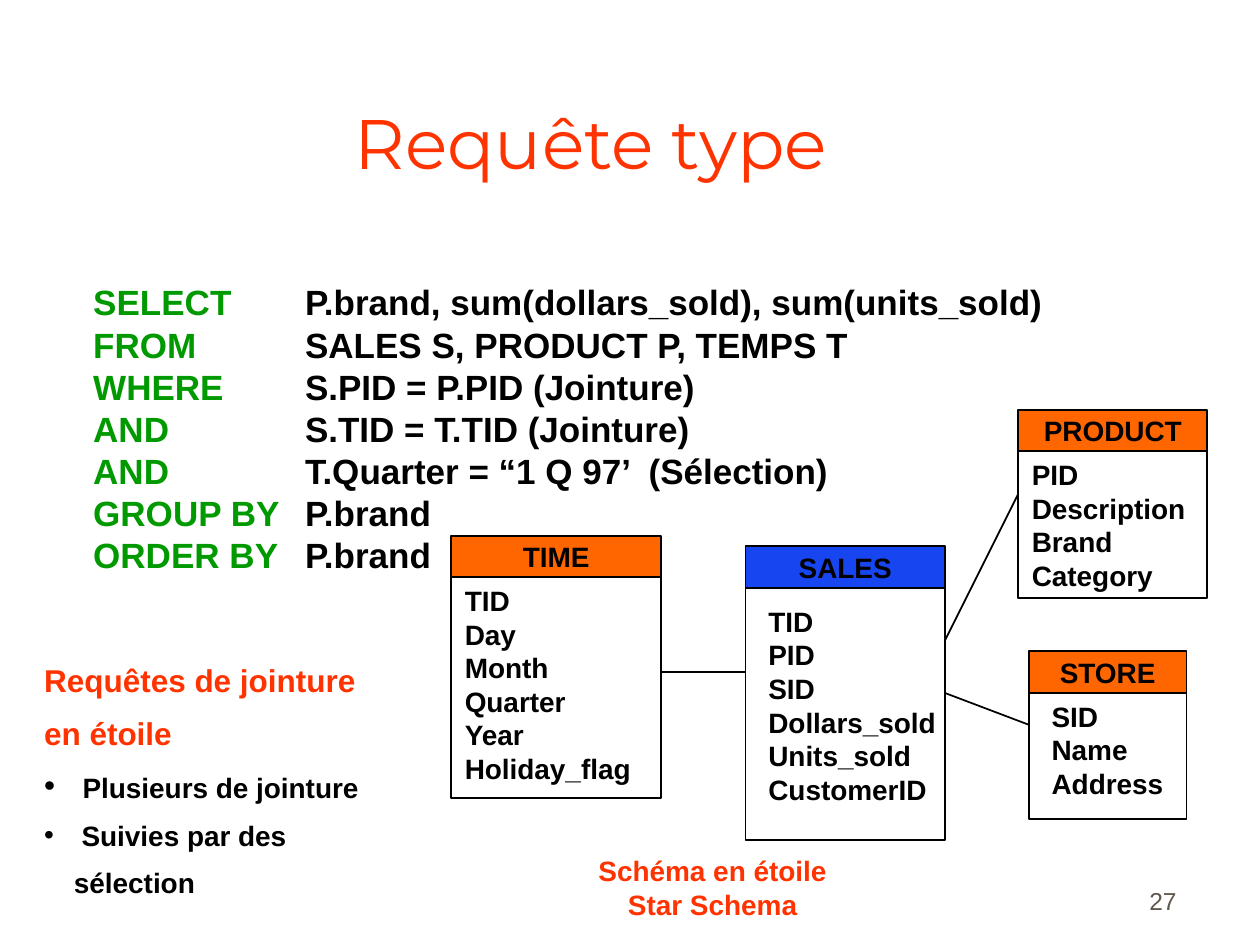
from lxml import etree
from pptx import Presentation
from pptx.dml.color import RGBColor
from pptx.enum.shapes import MSO_CONNECTOR, MSO_SHAPE
from pptx.enum.text import MSO_ANCHOR, PP_ALIGN
from pptx.oxml.ns import qn
from pptx.util import Cm, Pt

BLACK, RED, GREEN, ORANGE, BLUE, GREY = (
    "000000", "FF3300", "009900", "FF6600", "1745EF", "5E574E")
HEADER_H = 0.84

QUERY = [
    ("SELECT", "P.brand, sum(dollars_sold), sum(units_sold)"),
    ("FROM", "SALES S, PRODUCT P, TEMPS T"),
    ("WHERE", "S.PID = P.PID (Jointure)"),
    ("AND", "S.TID = T.TID (Jointure)"),
    ("AND", "T.Quarter = “1 Q 97’  (Sélection)"),
    ("GROUP BY", "P.brand"),
    ("ORDER BY", "P.brand"),
]
# name, header colour, fields, box (left, top, width, height), text offset
ENTITIES = [
    ("PRODUCT", ORANGE, ["PID", "Description", "Brand", "Category"],
     (20.53, 8.26, 3.81, 3.8), (0.02, 0)),
    ("TIME", ORANGE, ["TID", "Day", "Month", "Quarter", "Year", "Holiday_flag"],
     (9.1, 10.8, 4.23, 5.29), (0.02, 0)),
    ("SALES", BLUE,
     ["TID", "PID", "SID", "Dollars_sold", "Units_sold", "CustomerID"],
     (15.03, 11.01, 4.02, 5.92), (0.21, 0.21)),
    ("STORE", ORANGE, ["SID", "Name", "Address"],
     (20.74, 13.13, 3.18, 3.38), (0.21, 0)),
]
LINKS = [
    (13.33, 13.55, 15.03, 13.55),
    (20.53, 9.95, 19.05, 12.91),
    (20.74, 14.61, 19.05, 13.97),
]


def color(hex_text):
    return RGBColor.from_string(hex_text)


def set_font(font, hex_text=BLACK, **values):
    values = {"name": "Arial", "size": Pt(16), "bold": True} | values
    for key, value in values.items():
        setattr(font, key, value)
    font.color.rgb = color(hex_text)


def add_run(p, text, hex_text=BLACK, **values):
    r = p.add_run()
    r.text = text
    set_font(r.font, hex_text, **values)


def add_text(s, box, lines=(), hex_text=BLACK, align=PP_ALIGN.LEFT,
             wrap=True, anchor=MSO_ANCHOR.TOP, **values):
    tf = s.shapes.add_textbox(*map(Cm, box)).text_frame
    tf.word_wrap = wrap
    tf.vertical_anchor = anchor
    for i, line in enumerate(lines):
        p = tf.add_paragraph() if i else tf.paragraphs[0]
        p.alignment = align
        add_run(p, line, hex_text, **values)
    return tf


def add_rect(s, box, fill=None):
    sp = s.shapes.add_shape(MSO_SHAPE.RECTANGLE, *map(Cm, box))
    sp.shadow.inherit = False
    if fill:
        sp.fill.solid()
        sp.fill.fore_color.rgb = color(fill)
    else:
        sp.fill.background()
    sp.line.color.rgb = color(BLACK)
    sp.line.width = Pt(1)
    return sp


def add_title(s, box, text):
    sp = s.shapes.title
    sp.left, sp.top, sp.width, sp.height = map(Cm, box)
    tf = sp.text_frame
    tf.vertical_anchor = MSO_ANCHOR.BOTTOM
    p = tf.paragraphs[0]
    p.alignment = PP_ALIGN.CENTER
    add_run(p, text, RED, name="Montserrat", size=Pt(40), bold=False)


def add_query(s, box):
    tf = add_text(s, box, wrap=False)
    for i, (keyword, rest) in enumerate(QUERY):
        p = tf.add_paragraph() if i else tf.paragraphs[0]
        tabs = etree.SubElement(p._p.get_or_add_pPr(), qn("a:tabLst"))
        etree.SubElement(tabs, qn("a:tab"), pos=str(Cm(4.27)), algn="l")
        add_run(p, keyword, GREEN, size=Pt(20))
        add_run(p, "\t" + rest, size=Pt(20))


def add_entity(s, name, fill, fields, box, offset):
    left, top, width, height = box
    dx, dy = offset
    body_top, body_h = top + HEADER_H, height - HEADER_H
    # Fields: the text keeps the full width so that the longest name fits
    add_rect(s, (left, body_top, width, body_h))
    add_text(s, (left + dx, body_top + dy, width, body_h - dy), fields)
    # Header
    tf = add_rect(s, (left, top, width, HEADER_H), fill).text_frame
    tf.word_wrap = False
    tf.vertical_anchor = MSO_ANCHOR.MIDDLE
    p = tf.paragraphs[0]
    p.alignment = PP_ALIGN.CENTER
    add_run(p, name)


def add_link(s, ends):
    line = s.shapes.add_connector(MSO_CONNECTOR.STRAIGHT, *map(Cm, ends))
    line.line.color.rgb = color(BLACK)
    line.line.width = Pt(1)
    etree.SubElement(line._element.spPr, qn("a:effectLst"))


def add_remarks(s, box, heading, items):
    tf = add_text(s, box, [heading], RED, size=Pt(18))
    for item, bullet_size in items:
        p = tf.add_paragraph()
        pPr = p._p.get_or_add_pPr()
        pPr.set("marL", str(Cm(0.6)))
        pPr.set("indent", str(Cm(-0.6)))
        bu_clr = etree.SubElement(pPr, qn("a:buClr"))
        etree.SubElement(bu_clr, qn("a:srgbClr"), val=BLACK)
        etree.SubElement(pPr, qn("a:buFont"), typeface="Arial")
        etree.SubElement(pPr, qn("a:buChar"), char="•")
        add_run(p, " ", size=Pt(bullet_size))
        add_run(p, item)
    for p in tf.paragraphs:
        p.line_spacing = 1.4


def main():
    prs = Presentation()
    prs.slide_width, prs.slide_height = Cm(25.4), Cm(19.05)
    s = prs.slides.add_slide(prs.slide_layouts[5])

    # Title and query
    add_title(s, (1.12, 0.64, 21.59, 3.18), "Requête type")
    add_query(s, (1.63, 5.54, 19.84, 6.2))

    # Star schema
    for entity in ENTITIES:
        add_entity(s, *entity)
    for ends in LINKS:
        add_link(s, ends)
    add_text(s, (11.81, 17.09, 5.11, 1.63),
             ["Schéma en étoile", "Star Schema"], RED, PP_ALIGN.CENTER)

    # Remarks and page number
    add_remarks(s, (0.64, 12.9, 7.62, 4.39), "Requêtes de jointure en étoile",
                [("Plusieurs de jointure", 18), ("Suivies par des sélection", 16)])
    add_text(s, (18.69, 17.3, 5.28, 1.27), ["27"], GREY, PP_ALIGN.RIGHT,
             anchor=MSO_ANCHOR.BOTTOM, size=Pt(14), bold=False)

    prs.save("out.pptx")


if __name__ == "__main__":
    main()
